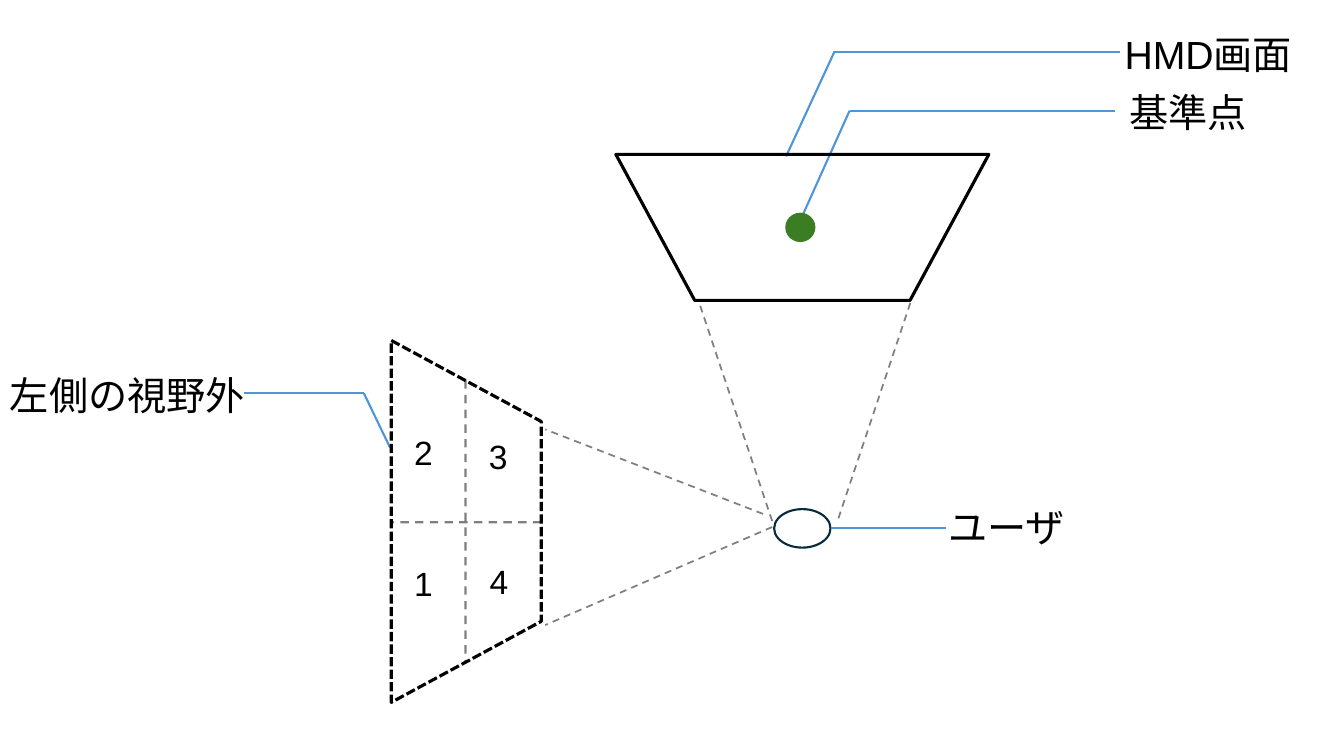
from itertools import pairwise

from lxml.etree import SubElement
from pptx import Presentation
from pptx.dml.color import RGBColor
from pptx.enum.dml import MSO_LINE
from pptx.enum.shapes import MSO_CONNECTOR, MSO_SHAPE
from pptx.oxml.ns import qn
from pptx.util import Cm, Pt

COLORS = {
    "black": "000000",
    "white": "FFFFFF",
    "leader": "4E95D9",
    "user": "092A39",
    "point": "3B7D23",
}

presentation = Presentation()
presentation.slide_width = Cm(33.87)
presentation.slide_height = Cm(19.05)
slide = presentation.slides.add_slide(presentation.slide_layouts[6])


def add_line(start, end, color, width):
    line = slide.shapes.add_connector(
        MSO_CONNECTOR.STRAIGHT, *(Cm(value) for value in (*start, *end)))
    line.line.color.rgb = RGBColor.from_string(COLORS[color])
    line.line.width = Pt(width)
    SubElement(line._element.spPr, qn("a:effectLst"))
    return line


def add_outline(kind, box, fill=None, line=None, width=2.25):
    shape = slide.shapes.add_shape(kind, *(Cm(value) for value in box))
    shape.shadow.inherit = False
    if fill:
        shape.fill.solid()
        shape.fill.fore_color.rgb = RGBColor.from_string(COLORS[fill])
    else:
        shape.fill.background()
    if line:
        shape.line.color.rgb = RGBColor.from_string(COLORS[line])
        shape.line.width = Pt(width)
    else:
        shape.line.fill.background()
    return shape


# User
add_outline(MSO_SHAPE.OVAL, (19.51, 12.83, 1.42, 0.97), "white", "user", 1.5)

# Leader lines from each part to its label
leaders = [
    [(19.81, 3.94), (21.03, 1.3), (28.22, 1.3)],
    [(20.22, 5.44), (21.41, 2.79), (28.09, 2.79)],
    [(20.93, 13.31), (23.83, 13.31)],
    [(9.83, 11.28), (9.17, 9.91), (6.15, 9.91)],
]
for points in leaders:
    for start, end in pairwise(points):
        add_line(start, end, "leader", 1.5)

# Reference point, screen and area outside the field of view
add_outline(MSO_SHAPE.OVAL, (19.79, 5.36, 0.76, 0.74), "point")
screen = add_outline(MSO_SHAPE.TRAPEZOID, (15.52, 3.89, 9.4, 3.68), line="black")
screen.rotation = 180
outside = add_outline(MSO_SHAPE.TRAPEZOID, (7.19, 11.25, 9.12, 3.78), line="black")
outside.rotation = 90
outside.line.dash_style = MSO_LINE.SQUARE_DOT
for trapezoid in (screen, outside):
    trapezoid.adjustments[0] = 0.54

# Half-transparent dashed lines: four sight lines, then the quadrant dividers
dashed_lines = [
    ((19.46, 13.13), (17.6, 7.57), 1.25),
    ((21.13, 13.06), (22.99, 7.49), 1.25),
    ((19.46, 13.28), (13.74, 15.75), 1.25),
    ((19.23, 12.95), (13.74, 10.82), 1.25),
    ((11.73, 9.58), (11.73, 16.71), 1.5),
    ((13.64, 13.16), (9.86, 13.16), 1.5),
]
for start, end, width in dashed_lines:
    dashed = add_line(start, end, "black", width)
    dashed.line.dash_style = MSO_LINE.DASH
    color = dashed._element.spPr.find(".//" + qn("a:srgbClr"))
    SubElement(color, qn("a:alpha"), val="50000")

# Labels and quadrant numbers: text, left, top, width, height, size, font
labels = [
    ("HMD画面", 28.09, 0.64, 5.7, 1.45, 28, "Arial"),
    ("基準点", 28.22, 2.11, 5.6, 1.45, 28, "Noto Sans CJK JP"),
    ("ユーザ", 23.65, 12.55, 4.29, 1.45, 28, "Noto Sans CJK JP"),
    ("左側の視野外", 0, 9.22, 7.95, 1.45, 28, "Arial"),
    ("1", 10.19, 14.07, 1.9, 2.21, 24, "Arial"),
    ("2", 10.19, 10.77, 1.9, 2.21, 24, "Arial"),
    ("3", 12.07, 10.85, 1.9, 2.21, 24, "Arial"),
    ("4", 12.09, 14.02, 1.9, 2.21, 24, "Arial"),
]
for text, left, top, width, height, size, font in labels:
    label = slide.shapes.add_textbox(Cm(left), Cm(top), Cm(width), Cm(height))
    label.text_frame.word_wrap = True
    paragraph = label.text_frame.paragraphs[0]
    paragraph.text = text
    paragraph.font.size = Pt(size)
    paragraph.font.name = font
    paragraph.font.color.rgb = RGBColor.from_string(COLORS["black"])
    # East Asian characters need their own typeface
    SubElement(paragraph.font._element, qn("a:ea"), typeface="Noto Sans CJK JP")

presentation.save("out.pptx")
